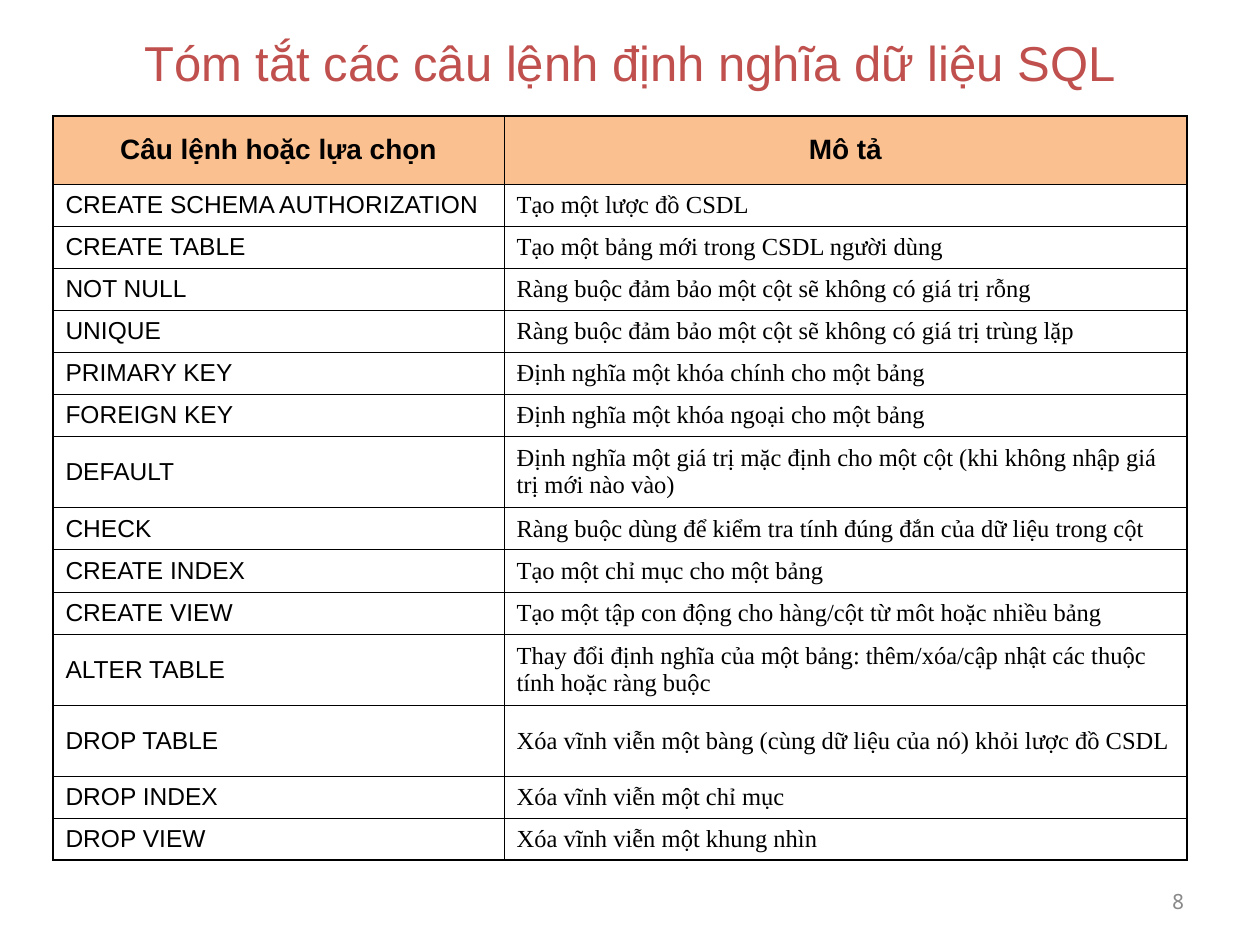
from lxml import etree
from pptx import Presentation
from pptx.dml.color import RGBColor
from pptx.enum.text import MSO_ANCHOR as Anchor, PP_ALIGN as Align
from pptx.oxml.ns import qn
from pptx.util import Inches, Pt

TITLE_RED = RGBColor(0xC0, 0x50, 0x4D)
HEADER_ORANGE = RGBColor(0xFA, 0xC0, 0x90)
BLACK = RGBColor(0x00, 0x00, 0x00)
GRAY = RGBColor(0x89, 0x89, 0x89)

OUTER_LINE, INNER_LINE = Pt(1.08), Pt(0.45)
COLUMN_WIDTHS = [3.58, 5.42]
TALL_ROWS = {0: 0.54, 7: 0.57, 11: 0.57, 12: 0.56}

HEADERS = ("Câu lệnh hoặc lựa chọn", "Mô tả")
COMMANDS = [
    ("CREATE SCHEMA AUTHORIZATION", "Tạo một lược đồ CSDL"),
    ("CREATE TABLE", "Tạo một bảng mới trong CSDL người dùng"),
    ("NOT NULL", "Ràng buộc đảm bảo một cột sẽ không có giá trị rỗng"),
    ("UNIQUE", "Ràng buộc đảm bảo một cột sẽ không có giá trị trùng lặp"),
    ("PRIMARY KEY", "Định nghĩa một khóa chính cho một bảng"),
    ("FOREIGN KEY", "Định nghĩa một khóa ngoại cho một bảng"),
    ("DEFAULT", "Định nghĩa một giá trị mặc định cho một cột (khi không nhập giá trị mới nào vào)"),
    ("CHECK", "Ràng buộc dùng để kiểm tra tính đúng đắn của dữ liệu trong cột"),
    ("CREATE INDEX", "Tạo một chỉ mục cho một bảng"),
    ("CREATE VIEW", "Tạo một tập con động cho hàng/cột từ môt hoặc nhiều bảng"),
    ("ALTER TABLE", "Thay đổi định nghĩa của một bảng: thêm/xóa/cập nhật các thuộc tính hoặc ràng buộc"),
    ("DROP TABLE", "Xóa vĩnh viễn một bàng (cùng dữ liệu của nó) khỏi lược đồ CSDL"),
    ("DROP INDEX", "Xóa vĩnh viễn một chỉ mục"),
    ("DROP VIEW", "Xóa vĩnh viễn một khung nhìn"),
]


def write_text(frame, text, size, font="Arial", color=BLACK, bold=False,
               align=Align.LEFT, before=0):
    frame.word_wrap = True
    para = frame.paragraphs[0]
    para.alignment = align
    para.space_before = Pt(before)
    span = para.add_run()
    span.text = text
    span.font.size = Pt(size)
    span.font.name = font
    span.font.bold = bold
    span.font.color.rgb = color


def set_borders(cell, widths):
    properties = cell._tc.get_or_add_tcPr()
    for position, (side, width) in enumerate(widths.items()):
        line = etree.Element(qn(f"a:ln{side}"), w=str(int(width)))
        fill = etree.SubElement(line, qn("a:solidFill"))
        etree.SubElement(fill, qn("a:srgbClr"), val=str(BLACK))
        properties.insert(position, line)


def add_title(page, left, top, width, height):
    title = page.shapes.title
    title.left, title.top = Inches(left), Inches(top)
    title.width, title.height = Inches(width), Inches(height)
    frame = title.text_frame
    frame.vertical_anchor = Anchor.TOP
    frame.margin_top = Inches(0.09)
    write_text(frame, "Tóm tắt các câu lệnh định nghĩa dữ liệu SQL", 28,
               color=TITLE_RED, align=Align.CENTER)


def add_command_table(page, left, top, width, height):
    rows = [HEADERS] + COMMANDS
    last_row, last_column = len(rows) - 1, len(HEADERS) - 1
    table = page.shapes.add_table(len(rows), len(HEADERS), Inches(left), Inches(top),
                                  Inches(width), Inches(height)).table
    table.first_row = table.horz_banding = False
    for column, column_width in zip(table.columns, COLUMN_WIDTHS):
        column.width = Inches(column_width)
    plain_height = (height - sum(TALL_ROWS.values())) / (len(rows) - len(TALL_ROWS))

    for r, texts in enumerate(rows):
        table.rows[r].height = Inches(TALL_ROWS.get(r, plain_height))
        for c, text in enumerate(texts):
            cell = table.cell(r, c)
            cell.vertical_anchor = Anchor.MIDDLE
            if r == 0:
                cell.fill.solid()
                cell.fill.fore_color.rgb = HEADER_ORANGE
                write_text(cell.text_frame, text, 16, bold=True,
                           align=Align.CENTER, before=4)
            else:
                cell.fill.background()
                write_text(cell.text_frame, text, 14, before=3.5,
                           font="Times New Roman" if c else "Arial")
            set_borders(cell, {
                "L": OUTER_LINE if c == 0 else INNER_LINE,
                "R": OUTER_LINE if c == last_column else INNER_LINE,
                "T": OUTER_LINE if r == 0 else INNER_LINE,
                "B": OUTER_LINE if r == last_row else INNER_LINE,
            })


def add_page_number(page, left, top, width, height):
    box = page.shapes.add_textbox(Inches(left), Inches(top), Inches(width), Inches(height))
    box.text_frame.vertical_anchor = Anchor.MIDDLE
    write_text(box.text_frame, "8", 12, font="Noto Sans Mono", color=GRAY, align=Align.RIGHT)


def main():
    deck = Presentation()
    deck.slide_width, deck.slide_height = Inches(10), Inches(7.5)
    page = deck.slides.add_slide(deck.slide_layouts[5])
    add_title(page, 0.75, 0.17, 8.5, 0.75)
    add_command_table(page, 0.42, 0.92, 9, 5.91)
    add_page_number(page, 7.17, 6.95, 2.33, 0.4)
    deck.save("out.pptx")


if __name__ == "__main__":
    main()
